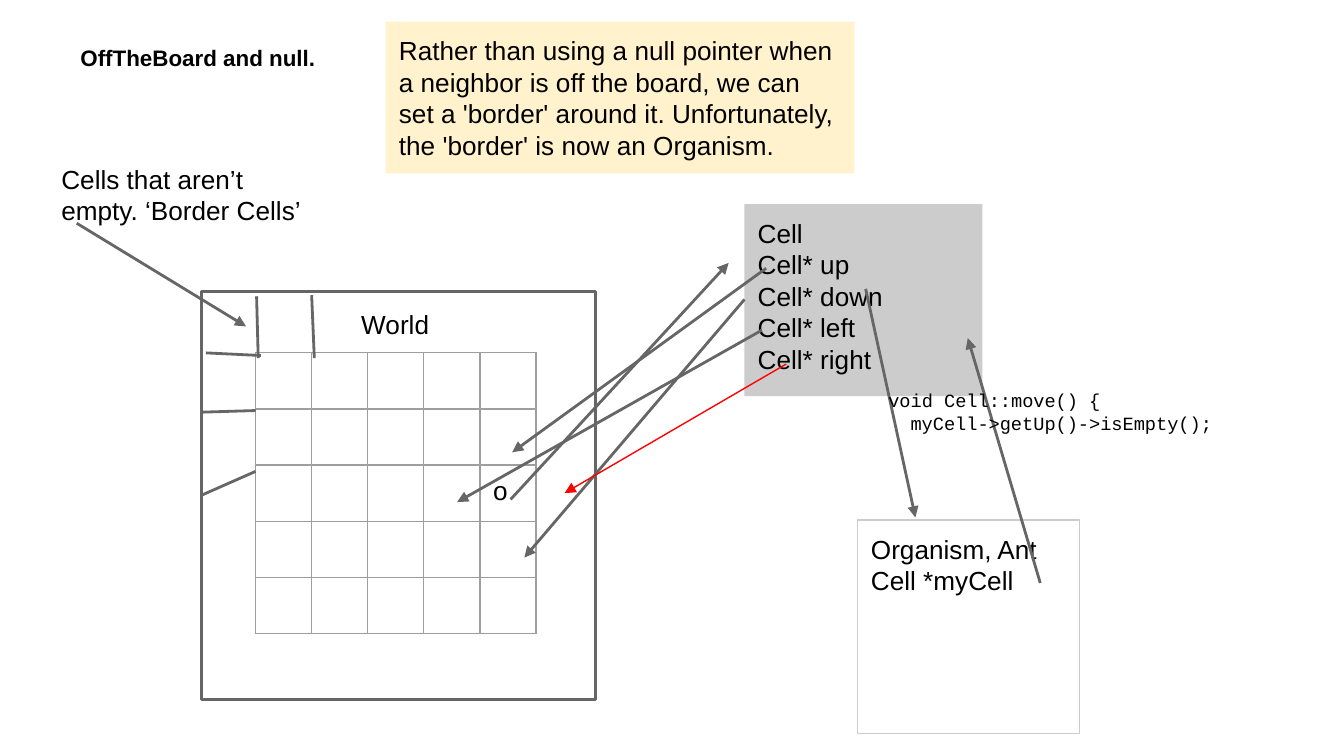
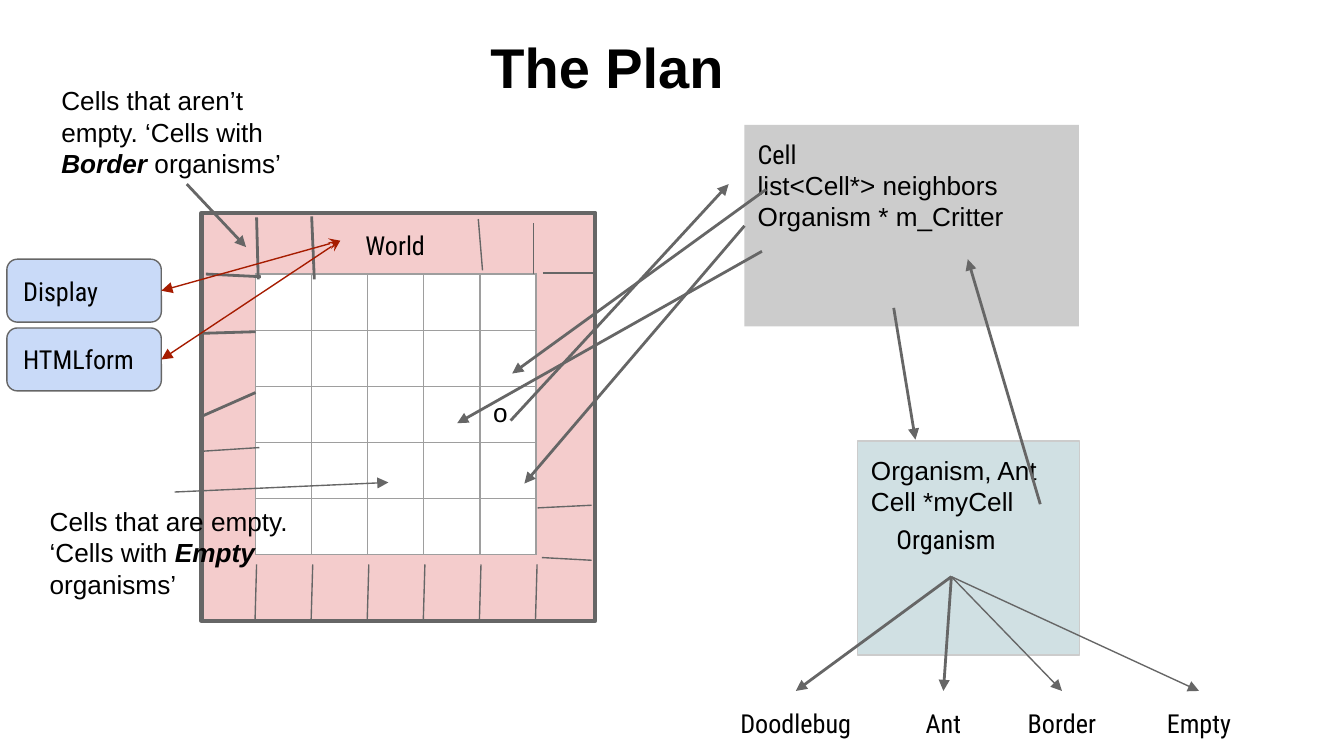
import dataclasses
import typing

import lxml.etree
import pptx
import pptx.dml.color
import pptx.enum.shapes
import pptx.enum.text
import pptx.oxml.ns
import pptx.slide
import pptx.util

Cm = pptx.util.Cm
Pt = pptx.util.Pt
qn = pptx.oxml.ns.qn
Kind = pptx.enum.shapes.MSO_SHAPE
Align = pptx.enum.text.PP_ALIGN
Anchor = pptx.enum.text.MSO_ANCHOR


@dataclasses.dataclass(frozen=True)
class Theme:
    ink: str = "000000"
    white: str = "FFFFFF"
    line: str = "666666"
    grid: str = "9E9E9E"
    gray: str = "CCCCCC"
    cream: str = "FFF2CC"
    pink: str = "F4CCCC"
    teal: str = "D0E0E3"
    blue: str = "C9DAF8"
    red: str = "FF0000"
    rust: str = "A61C00"
    sans: str = "Arial"
    slim: str = "Roboto Condensed"
    mono: str = "Courier New"
    head: float = 30
    body: float = 14
    small: float = 12
    code: float = 10
    thin: float = 0.75
    mid: float = 1.5
    thick: float = 2.25


T = Theme()


# Sizes and places in Box and Line are centimetres
@dataclasses.dataclass(frozen=True)
class Box:
    x: float
    y: float
    w: float
    h: float
    text: str = ""
    kind: typing.Optional[Kind] = None
    fill: str = ""
    edge: str = ""
    width: float = T.thin
    face: str = T.sans
    lead: str = ""  # font of the first paragraph
    size: float = T.body
    bold: bool = False
    mark: str = ""  # word set in bold italic
    align: Align = Align.LEFT
    anchor: Anchor = Anchor.TOP


class Line(typing.NamedTuple):
    x1: float
    y1: float
    x2: float
    y2: float
    width: float = T.mid
    tint: str = T.line
    head: str = ""
    tail: str = ""


def rgb(code: str) -> pptx.dml.color.RGBColor:
    return pptx.dml.color.RGBColor.from_string(code)


def arrow(x1: float, y1: float, x2: float, y2: float,
          width: float = T.mid, tint: str = T.line, head: str = "") -> Line:
    return Line(x1, y1, x2, y2, width, tint, head, "triangle")


def style(run: typing.Any, box: Box, face: str) -> None:
    run.font.name = face
    run.font.size = Pt(box.size)
    run.font.color.rgb = rgb(T.ink)
    marked = bool(box.mark) and run.text == box.mark
    run.font.bold = box.bold or marked
    run.font.italic = marked


def write(frame: typing.Any, box: Box) -> None:
    frame.word_wrap = True
    frame.vertical_anchor = box.anchor
    frame.margin_left = frame.margin_right = Cm(0.25)
    frame.margin_top = frame.margin_bottom = Cm(0.25)
    if box.mark:
        start, word, rest = box.text.partition(box.mark)
        frame.text = start
        for part in (word, rest):
            frame.paragraphs[0].add_run().text = part
    else:
        frame.text = box.text
    for i, par in enumerate(frame.paragraphs):
        par.alignment = box.align
        for run in par.runs:
            style(run, box, box.lead if box.lead and i == 0 else box.face)


def draw_box(slide: pptx.slide.Slide, box: Box) -> typing.Any:
    place = [Cm(n) for n in (box.x, box.y, box.w, box.h)]
    if box.kind is None:
        shape = slide.shapes.add_textbox(*place)
    else:
        shape = slide.shapes.add_shape(box.kind, *place)
        shape.shadow.inherit = False
        if box.fill:
            shape.fill.solid()
            shape.fill.fore_color.rgb = rgb(box.fill)
        else:
            shape.fill.background()
        if box.edge:
            shape.line.color.rgb = rgb(box.edge)
            shape.line.width = Pt(box.width)
        else:
            shape.line.fill.background()
    if box.text:
        write(shape.text_frame, box)
    return shape


def draw_line(slide: pptx.slide.Slide, line: Line, drop: float = 0) -> None:
    link = slide.shapes.add_connector(
        pptx.enum.shapes.MSO_CONNECTOR.STRAIGHT,
        Cm(line.x1), Cm(line.y1 + drop), Cm(line.x2), Cm(line.y2 + drop))
    link.line.color.rgb = rgb(line.tint)
    link.line.width = Pt(line.width)
    props = link.line._get_or_add_ln()
    for tag, tip in (("a:headEnd", line.head), ("a:tailEnd", line.tail)):
        if tip:
            lxml.etree.SubElement(props, qn(tag), type=tip)
    lxml.etree.SubElement(link._element.spPr, qn("a:effectLst"))


def edge_cell(cell: typing.Any) -> None:
    props = cell._tc.get_or_add_tcPr()
    for tag in ("a:lnL", "a:lnR", "a:lnT", "a:lnB"):
        edge = lxml.etree.SubElement(props, qn(tag), w=str(Pt(T.thin)))
        fill = lxml.etree.SubElement(edge, qn("a:solidFill"))
        lxml.etree.SubElement(fill, qn("a:srgbClr"), val=T.grid)


# World grid
COUNT = 5
PITCH = 1.06


def draw_grid(slide: pptx.slide.Slide, top: float, fill: str) -> None:
    side = Cm(COUNT * PITCH)
    table = slide.shapes.add_table(
        COUNT, COUNT, Cm(4.83), Cm(top), side, side).table
    table.first_row = table.horz_banding = False
    for part in (*table.columns,):
        part.width = Cm(PITCH)
    for part in (*table.rows,):
        part.height = Cm(PITCH)
    for cell in table.iter_cells():
        edge_cell(cell)
        if fill:
            cell.fill.solid()
            cell.fill.fore_color.rgb = rgb(fill)
        else:
            cell.fill.background()
    home = table.cell(2, 4)
    home.text_frame.text = "o"
    home.margin_left = home.margin_right = Cm(0.25)
    home.margin_top = home.margin_bottom = Cm(0.23)
    style(home.text_frame.paragraphs[0].runs[0], Box(0, 0, 0, 0), T.sans)


# Lines found on both slides
LINKS = [
    arrow(9.65, 7.95, 13.77, 3.48),
    arrow(19.66, 9.53, 18.29, 4.9),
    arrow(14.48, 3.58, 9.68, 7.06),
    arrow(14.4, 4.75, 8.64, 8),
    Line(4.85, 4.11, 4.88, 5.28),
    Line(3.89, 5.18, 4.93, 5.23),
    Line(3.84, 6.3, 4.83, 6.27),
    Line(3.81, 7.87, 4.83, 7.42),
    Line(5.89, 4.09, 5.94, 5.28),
]


def draw_world(slide: pptx.slide.Slide, cell: Box, drop: float = 0,
               fill: str = "", grid: str = "", ant: str = "",
               width: float = T.mid, face: str = T.sans) -> None:
    draw_box(slide, Box(3.81, 4.02 + drop, 7.44, 7.72, kind=Kind.RECTANGLE,
                        fill=fill, edge=T.line, width=width))
    draw_grid(slide, 5.18 + drop, grid)
    draw_box(slide, Box(6.43, 4.09 + drop, 2.08, 0.89, "World", face=face,
                        align=Align.CENTER))
    draw_box(slide, cell)
    draw_box(slide, Box(16.21, 8.34 + drop, 4.19, 4.04,
                        "Organism, Ant\nCell *myCell", Kind.RECTANGLE,
                        fill=ant, edge=T.gray))
    for line in LINKS:
        draw_line(slide, line, drop)


def draw_null(slide: pptx.slide.Slide) -> None:
    draw_box(slide, Box(1.27, 0.58, 22.86, 2.39, "OffTheBoard and null.",
                        size=T.small, bold=True))
    cell = Box(14.07, 3.86, 4.5, 3.63,
               "Cell\nCell* up\nCell* down\nCell* left\nCell* right",
               Kind.RECTANGLE, fill=T.gray)
    draw_world(slide, cell, drop=1.49)
    for line in (
        arrow(16.36, 5.46, 17.3, 9.78),
        arrow(14.07, 5.66, 9.91, 10.54),
        arrow(1.45, 4.22, 4.65, 6.17),
    ):
        draw_line(slide, line)
    code = draw_box(slide, Box(
        16.54, 7.11, 8.51, 1.65,
        "void Cell::move() {\nmyCell->getUp()->isEmpty();",
        face=T.mono, size=T.code))
    inner = code.text_frame.paragraphs[1]._p.get_or_add_pPr()
    inner.set("marL", str(Cm(0.42)))
    draw_box(slide, Box(0.91, 2.84, 5.21, 1.17,
                        "Cells that aren’t empty. ‘Border Cells’"))
    draw_box(slide, Box(
        7.29, 0.41, 8.86, 2.87,
        "Rather than using a null pointer when a neighbor is off the board, "
        "we can set a 'border' around it. Unfortunately, the 'border' is now "
        "an Organism.", Kind.RECTANGLE, fill=T.cream))
    draw_line(slide, arrow(14.86, 6.88, 10.67, 9.32, T.thin, T.red))


def draw_plan(slide: pptx.slide.Slide) -> None:
    draw_box(slide, Box(9.02, 0.36, 5.38, 1.65, "The Plan",
                        size=T.head, bold=True))
    cell = Box(14.07, 2.36, 6.32, 3.81,
               "Cell\nlist<Cell*> neighbors\nOrganism * m_Critter",
               Kind.RECTANGLE, fill=T.gray, lead=T.slim)
    draw_world(slide, cell, fill=T.pink, grid=T.white, ant=T.teal,
               width=T.thick, face=T.slim)

    # Border ticks and pointers
    ticks = [Line(4.85 + PITCH * i, 10.67, 4.82 + PITCH * i, 11.72, T.thin)
             for i in range(COUNT + 1)]
    for line in (
        arrow(16.89, 5.82, 17.3, 8.31),
        arrow(14.07, 4.27, 9.91, 9.14),
        arrow(3.53, 3.48, 4.65, 4.67),
        arrow(3.3, 9.3, 7.34, 9.12, T.thin),
        Line(3.81, 8.53, 4.9, 8.46, T.thin),
        Line(10.16, 9.6, 11.18, 9.55, T.thin),
        Line(10.24, 10.54, 11.18, 10.59, T.thin),
        Line(10.08, 4.22, 10.08, 5.18, T.thin),
        Line(10.26, 5.16, 11.2, 5.16, T.thin),
        Line(9.04, 4.14, 9.12, 5.11, T.thin),
        *ticks,
    ):
        draw_line(slide, line)

    # Notes
    draw_box(slide, Box(
        0.91, 1.35, 5.21, 2.13, mark="Border",
        text="Cells that aren’t empty. ‘Cells with Border organisms’"))
    draw_box(slide, Box(
        0.69, 9.3, 5.21, 1.32, mark="Empty",
        text="Cells that are empty. ‘Cells with Empty organisms’"))

    # Organism family
    draw_box(slide, Box(16.69, 9.65, 2.59, 1.22, "Organism", face=T.slim))
    for name, mid, wide, width in (
        ("Doodlebug", 15.04, 2.97, T.mid),
        ("Ant", 17.83, 2.59, T.mid),
        ("Border", 20.07, 2.59, T.thin),
        ("Empty", 22.66, 2.59, T.thin),
    ):
        draw_box(slide, Box(mid - wide / 2, 13.06, wide, 1.22, name,
                            face=T.slim, align=Align.CENTER,
                            anchor=Anchor.MIDDLE))
        draw_line(slide, arrow(17.98, 10.9, mid, 13.06, width))

    # Views of the world
    high = 1.19
    for name, top in (("Display", 4.9), ("HTMLform", 6.2)):
        draw_box(slide, Box(0.13, top, 2.92, high, name,
                            Kind.ROUNDED_RECTANGLE, fill=T.blue, edge=T.line,
                            face=T.slim, anchor=Anchor.MIDDLE))
        draw_line(slide, arrow(6.43, 4.55, 3.05, top + high / 2,
                               T.thin, T.rust, "stealth"))


def main() -> None:
    deck = pptx.Presentation()
    deck.slide_width, deck.slide_height = Cm(25.4), Cm(14.29)
    for draw in (draw_null, draw_plan):
        draw(deck.slides.add_slide(deck.slide_layouts[6]))
    deck.save("out.pptx")


if __name__ == "__main__":
    main()
